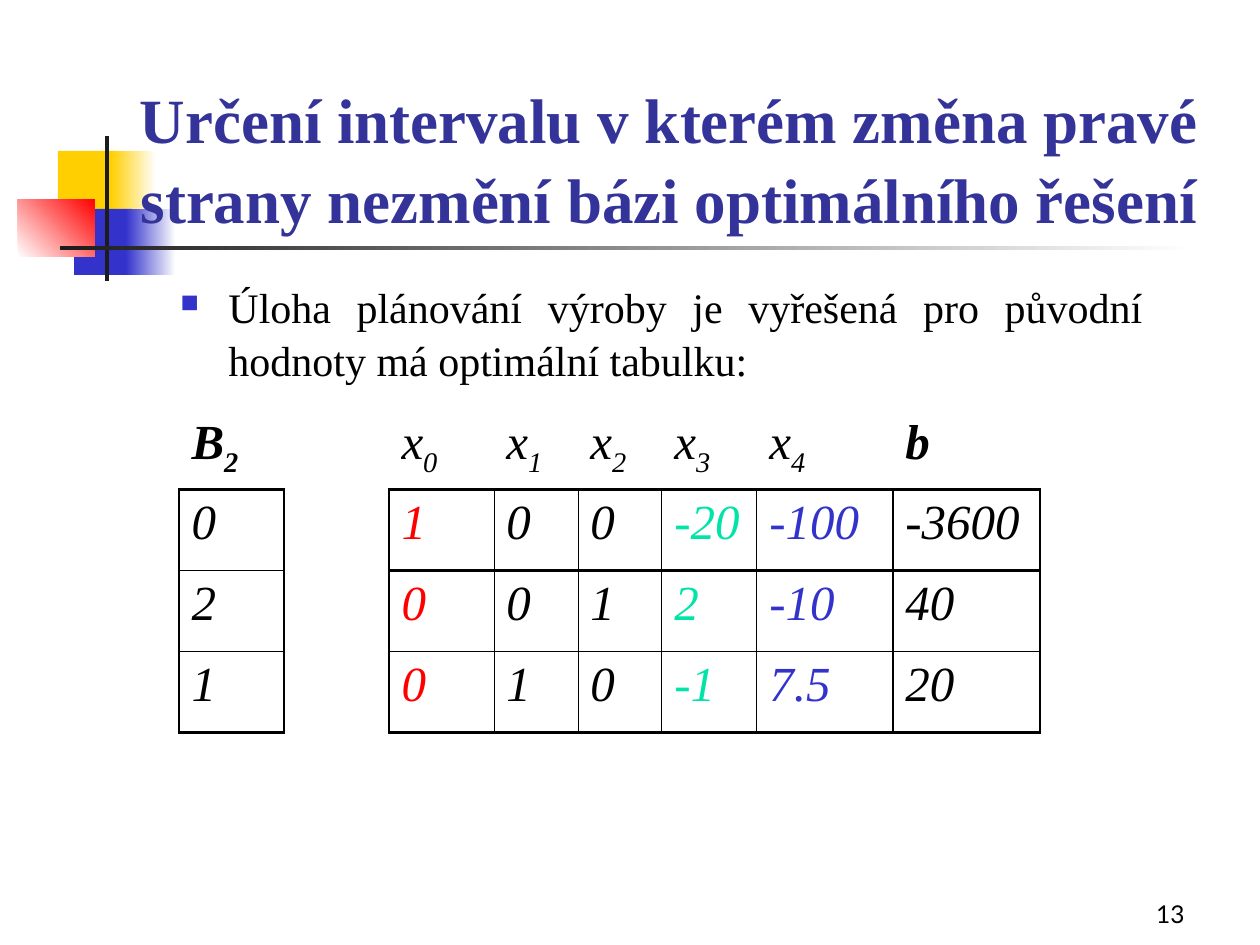
from lxml.etree import SubElement
from pptx import Presentation
from pptx.dml.color import RGBColor
from pptx.enum.shapes import MSO_SHAPE
from pptx.enum.text import MSO_ANCHOR, PP_ALIGN
from pptx.oxml.ns import qn
from pptx.util import Emu, Pt

SCALE = 914400 / 126
SERIF = "Times New Roman"
BLACK, DARK, WHITE = "000000", "1C1C1C", "FFFFFF"
BLUE, YELLOW, RED, GREEN = "3333CC", "FFCF01", "FF0000", "00E4A8"
THICK, THIN = 1.47, 0.45


def px(n):
    return Emu(round(n * SCALE))


def rgb(color):
    return RGBColor.from_string(color)


def add_run(p, text, size, color=BLACK, font=SERIF, bold=False, italic=False, sub=False):
    r = p.add_run()
    r.text = text
    r.font.size, r.font.name = Pt(size), font
    r.font.bold, r.font.italic = bold, italic
    r.font.color.rgb = rgb(color)
    if sub:
        r._r.get_or_add_rPr().set("baseline", "-25000")


def add_bullet(p, char, color, percent, indent):
    pPr = p._p.get_or_add_pPr()
    pPr.set("marL", str(px(indent)))
    pPr.set("indent", str(-px(indent)))
    SubElement(SubElement(pPr, qn("a:buClr")), qn("a:srgbClr"), val=color)
    SubElement(pPr, qn("a:buSzPct"), val=str(percent * 1000))
    SubElement(pPr, qn("a:buChar"), char=char)


def add_border(cell, side, width):
    ln = SubElement(cell._tc.get_or_add_tcPr(), qn(f"a:ln{side}"), w=str(Pt(width)))
    if width:
        SubElement(SubElement(ln, qn("a:solidFill")), qn("a:srgbClr"), val=BLACK)
    else:
        SubElement(ln, qn("a:noFill"))


def vertical_edge(row, x):
    if row == 0:
        return 0
    return THICK if x in (0, 1, 2, 7, 8) else THIN


def horizontal_edge(y, col):
    if y == 0 or col == 1:
        return 0
    return THICK if y in (1, 4) or (y == 2 and col > 1) else THIN


class SlideBuilder:
    """Draws styled elements on the current slide."""

    def __init__(self, slide):
        self.slide = slide

    def rect(self, x, y, w, h, start, end=None, angle=0):
        sp = self.slide.shapes.add_shape(MSO_SHAPE.RECTANGLE, px(x), px(y), px(w), px(h))
        sp.shadow.inherit = False
        sp.line.fill.background()
        if end is None:
            sp.fill.solid()
            sp.fill.fore_color.rgb = rgb(start)
            return
        sp.fill.gradient()
        sp.fill.gradient_angle = angle
        for i, (stop, color) in enumerate(zip(sp.fill.gradient_stops, (start, end))):
            stop.position = i
            stop.color.rgb = rgb(color)

    def text(self, x, y, w, h, text, align, anchor=MSO_ANCHOR.TOP, bullet=None, spacing=1.05, **fmt):
        tf = self.slide.shapes.add_textbox(px(x), px(y), px(w), px(h)).text_frame
        tf.word_wrap = True
        tf.vertical_anchor = anchor
        p = tf.paragraphs[0]
        p.alignment, p.line_spacing = align, spacing
        if bullet:
            add_bullet(p, *bullet)
        add_run(p, text, **fmt)

    def table(self, x, y, widths, heights, header, rows, colors):
        shape = self.slide.shapes.add_table(
            len(heights), len(widths), px(x), px(y), px(sum(widths)), px(sum(heights)))
        table = shape.table
        table.first_row = table.horz_banding = False
        for column, width in zip(table.columns, widths):
            column.width = px(width)
        for row, height in zip(table.rows, heights):
            row.height = px(height)
        for i, values in enumerate([header, *rows]):
            for j, value in enumerate(values):
                cell = table.cell(i, j)
                add_border(cell, "L", vertical_edge(i, j))
                add_border(cell, "R", vertical_edge(i, j + 1))
                add_border(cell, "T", horizontal_edge(i, j))
                add_border(cell, "B", horizontal_edge(i + 1, j))
                cell.fill.background()
                p = cell.text_frame.paragraphs[0]
                if i == 0 and value:
                    bold = value[0] in "Bb"
                    add_run(p, value[0], 28, bold=bold, italic=True)
                    if value[1:]:
                        add_run(p, value[1:], 28, bold=bold, italic=True, sub=True)
                elif value:
                    add_run(p, value, 28, colors.get(j, BLACK), italic=True)


def main():
    prs = Presentation()
    prs.slide_width, prs.slide_height = px(1260), px(945)
    s = SlideBuilder(prs.slides.add_slide(prs.slide_layouts[6]))

    s.rect(58, 151, 60, 66, YELLOW)
    s.rect(111, 151, 45, 66, YELLOW, WHITE)
    s.rect(74, 209, 58, 66, BLUE)
    s.rect(126, 209, 50, 66, BLUE, WHITE)
    s.rect(18, 199, 77, 58, WHITE, RED, angle=45)
    s.rect(105, 136, 4, 145, DARK)
    s.rect(60, 246, 1134, 4, DARK, WHITE)

    s.text(935, 872, 262, 63, "13", PP_ALIGN.RIGHT, MSO_ANCHOR.BOTTOM,
           spacing=1.0, size=14, font="Lato")
    s.text(105, 84, 1128, 158,
           "Určení intervalu v kterém změna pravé strany nezmění bázi optimálního řešení",
           PP_ALIGN.CENTER, MSO_ANCHOR.BOTTOM, size=36, color="333399", bold=True)
    s.text(168, 273, 987, 168,
           "Úloha plánování výroby je vyřešená pro původní hodnoty má optimální tabulku:",
           PP_ALIGN.JUSTIFY, bullet=("■", BLUE, 60, 48), size=24)

    s.table(179, 410, [105, 105, 105, 84, 84, 95, 136, 147], [79, 81, 81, 81],
            ["B2", "", "x0", "x1", "x2", "x3", "x4", "b"],
            [["0", "", "1", "0", "0", "-20", "-100", "-3600"],
             ["2", "", "0", "0", "1", "2", "-10", "40"],
             ["1", "", "0", "1", "0", "-1", "7.5", "20"]],
            {2: RED, 5: GREEN, 6: BLUE})
    prs.save("out.pptx")


if __name__ == "__main__":
    main()
